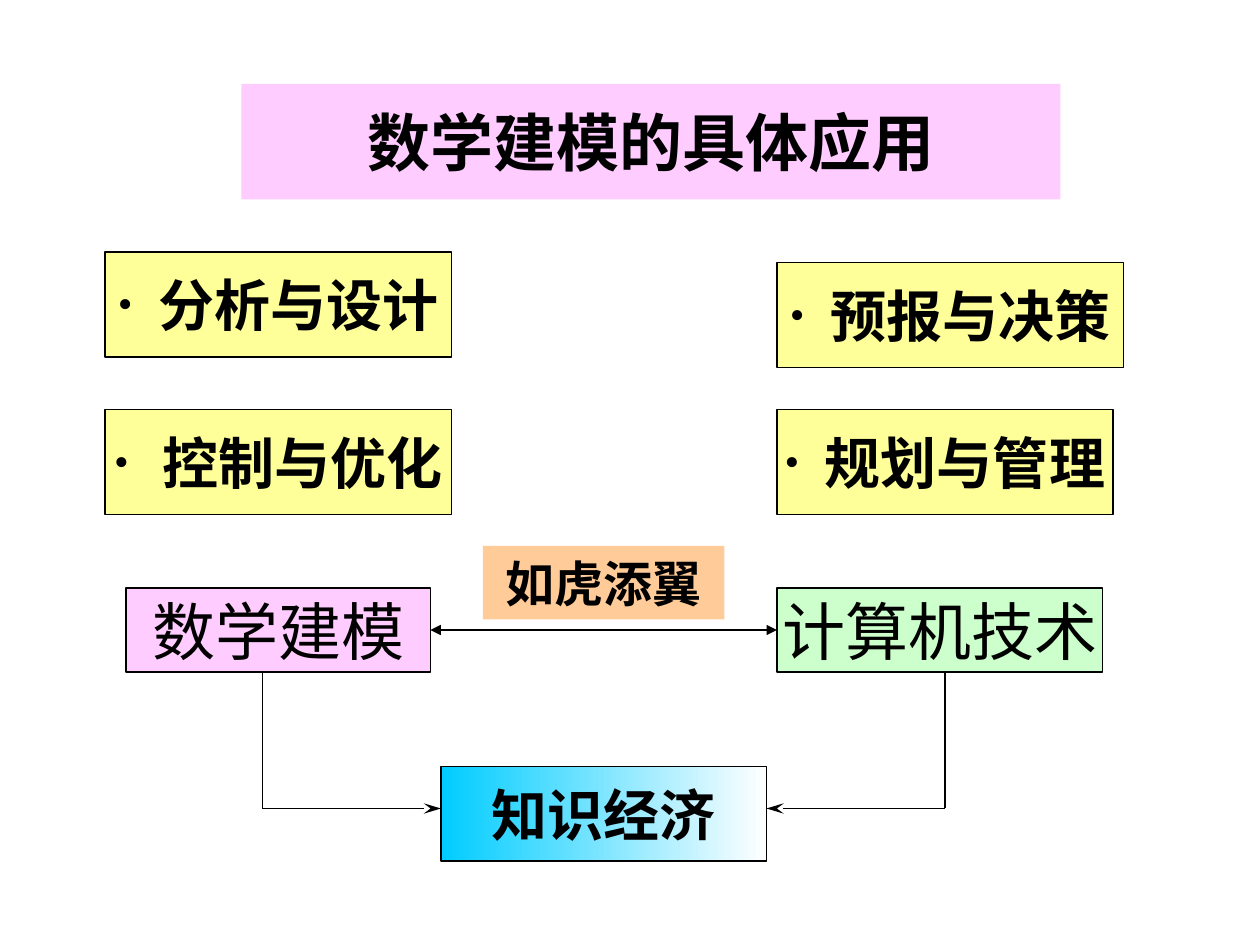
from lxml import etree
from pptx import Presentation
from pptx.dml.color import RGBColor
from pptx.enum.shapes import MSO_CONNECTOR, MSO_SHAPE
from pptx.enum.text import MSO_ANCHOR, PP_ALIGN
from pptx.oxml.ns import qn
from pptx.util import Inches, Pt

RECTANGLE = MSO_SHAPE.RECTANGLE
STRAIGHT = MSO_CONNECTOR.STRAIGHT
MIDDLE = MSO_ANCHOR.MIDDLE
CENTER = PP_ALIGN.CENTER
LEFT_SIDE, RIGHT_SIDE = 1, 3

COLUMNS, ROWS = 120, 90
BLACK, WHITE, PINK, YELLOW = "000000", "FFFFFF", "FFCCFF", "FFFF99"
GREEN, BLUE, ORANGE = "CCFFCC", "00CCFF", "FFCC99"


def color(hex_string):
    return RGBColor.from_string(hex_string)


class Diagram:
    """Draws on one slide; positions are columns and rows of a 120 x 90 grid."""

    font = "Times New Roman"
    line_width = Pt(0.75)

    def __init__(self, presentation):
        self.slide = presentation.slides.add_slide(presentation.slide_layouts[6])
        self.column = presentation.slide_width // COLUMNS
        self.row = presentation.slide_height // ROWS

    def box(self, text, place, fill, size, bold=True, outlined=True, font=font):
        left, top, width, height = place
        shape = self.slide.shapes.add_shape(
            RECTANGLE, left * self.column, top * self.row,
            width * self.column, height * self.row)
        shape.shadow.inherit = False
        shape.fill.solid()
        shape.fill.fore_color.rgb = color(fill)
        if outlined:
            shape.line.color.rgb = color(BLACK)
            shape.line.width = self.line_width
        else:
            shape.line.fill.background()
        frame = shape.text_frame
        frame.text = text
        frame.word_wrap = False
        frame.vertical_anchor = MIDDLE
        paragraph = frame.paragraphs[0]
        paragraph.alignment = CENTER
        run_font = paragraph.runs[0].font
        run_font.name, run_font.size, run_font.bold = font, Pt(size), bold
        run_font.color.rgb = color(BLACK)
        return shape

    def bullet_box(self, text, place, gap):
        """Yellow box whose bullet hangs gap inches before the text."""
        shape = self.box(text, place, YELLOW, 32)
        properties = shape.text_frame.paragraphs[0]._p.get_or_add_pPr()
        properties.set("marL", str(Inches(gap)))
        properties.set("indent", str(-Inches(gap)))
        for tag, name, value in (("a:buSzPct", "val", "75000"),
                                 ("a:buFont", "typeface", self.font),
                                 ("a:buChar", "char", "•")):
            etree.SubElement(properties, qn(tag)).set(name, value)

    def gradient(self, shape, left_color, right_color):
        shape.fill.gradient()
        shape.fill.gradient_angle = 0
        for stop, hex_string in zip(shape.fill.gradient_stops, (left_color, right_color)):
            stop.color.rgb = color(hex_string)

    def line(self, start, end, **arrowheads):
        """Straight line; arrowheads maps headEnd or tailEnd to (type, length)."""
        connector = self.slide.shapes.add_connector(
            STRAIGHT, start[0] * self.column, start[1] * self.row,
            end[0] * self.column, end[1] * self.row)
        connector.line.color.rgb = color(BLACK)
        connector.line.width = self.line_width
        outline = connector.line._ln
        for tag, (kind, length) in arrowheads.items():
            arrow = etree.SubElement(outline, qn(f"a:{tag}"))
            arrow.set("type", kind)
            arrow.set("w", "med")
            arrow.set("len", length)
        etree.SubElement(connector._element.spPr, qn("a:effectLst"))
        return connector


def main():
    presentation = Presentation()
    presentation.slide_width, presentation.slide_height = Inches(10), Inches(7.5)
    diagram = Diagram(presentation)

    diagram.box("数学建模的具体应用", (23, 8, 78, 11), PINK, 36,
                outlined=False, font="Noto Sans CJK SC")

    for text, place, gap in (("分析与设计", (10, 24, 33, 10), 0.32),
                             ("预报与决策", (74, 25, 33, 10), 0.32),
                             ("控制与优化", (10, 39, 33, 10), 0.38),
                             ("规划与管理", (74, 39, 32, 10), 0.32)):
        diagram.bullet_box(text, place, gap)

    modelling = diagram.box("数学建模", (12, 56, 29, 8), PINK, 36, bold=False)
    computing = diagram.box("计算机技术", (74, 56, 31, 8), GREEN, 36, bold=False)
    economy = diagram.box("知识经济", (42, 73, 31, 9), BLUE, 32)
    diagram.gradient(economy, BLUE, WHITE)

    for source_column, economy_side in ((25, 42), (90, 73)):
        corner = (source_column, 77)
        diagram.line((source_column, 64), corner)
        diagram.line(corner, (economy_side, 77), tailEnd=("stealth", "lg"))

    triangle = ("triangle", "med")
    exchange = diagram.line((41, 60), (74, 60), headEnd=triangle, tailEnd=triangle)
    exchange.begin_connect(modelling, RIGHT_SIDE)
    exchange.end_connect(computing, LEFT_SIDE)
    diagram.box("如虎添翼", (46, 52, 23, 7), ORANGE, 28, outlined=False)

    presentation.save("out.pptx")


if __name__ == "__main__":
    main()
